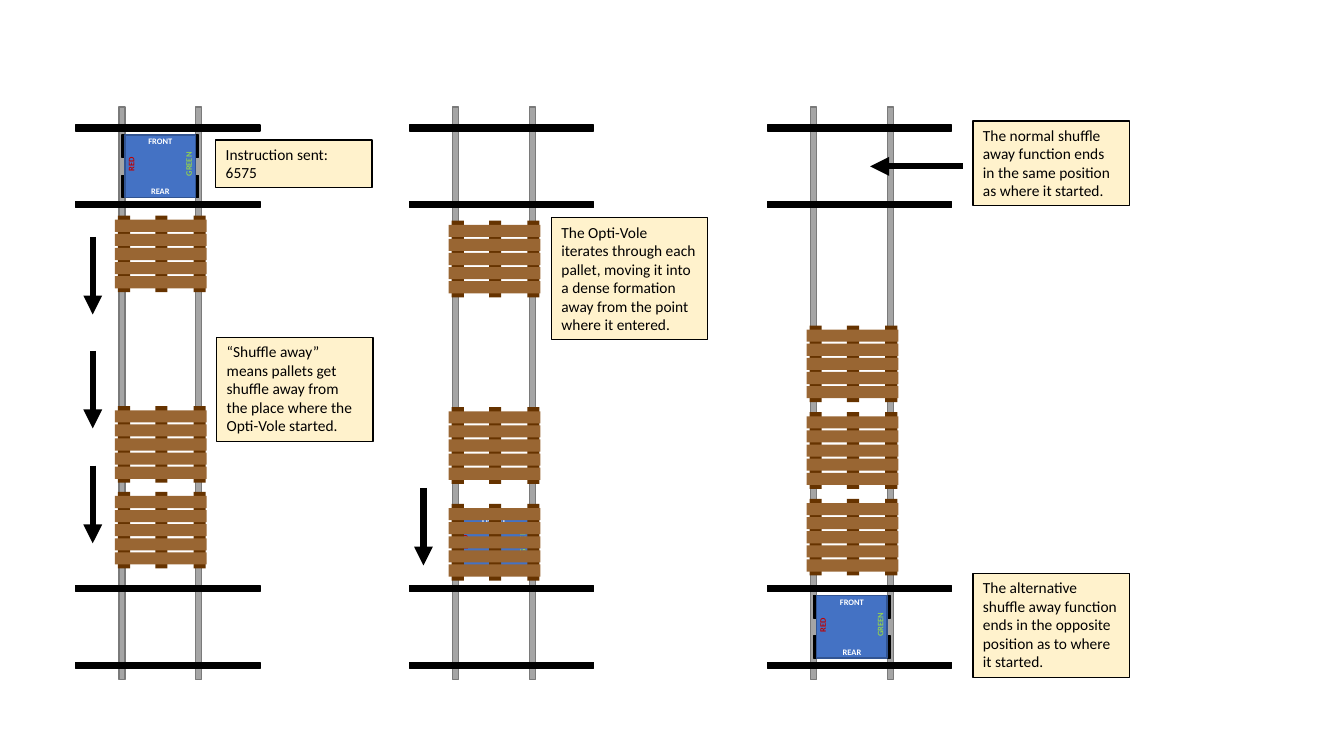
import pptx
import pptx.util
import pptx.dml.color
import pptx.enum.shapes
import pptx.enum.text
import pptx.oxml.ns
from lxml import etree

Inches = pptx.util.Inches
Pt = pptx.util.Pt


def tint(code):
    return pptx.dml.color.RGBColor.from_string(code)


class Board:
    font = "Calibri"
    black = "000000"
    white = "FFFFFF"
    cream = "FFF2CC"
    steel = "A5A5A5"
    edge = "7A7A7A"
    plank = "996633"
    beam = "663300"

    def __init__(self, slide):
        self.slide = slide

    def group(self):
        return self.slide.shapes.add_group_shape().shapes

    def rect(self, host, x, y, w, h, fill, line=None):
        shape = host.add_shape(
            pptx.enum.shapes.MSO_SHAPE.RECTANGLE,
            Inches(x), Inches(y), Inches(w), Inches(h))
        shape.shadow.inherit = False
        shape.fill.solid()
        shape.fill.fore_color.rgb = tint(fill)
        if line:
            shape.line.color.rgb = tint(line)
            shape.line.width = Pt(1)
        else:
            shape.line.fill.background()
        return shape

    def words(self, shape, lines, size, color, align, bold=False):
        frame = shape.text_frame
        frame.word_wrap = True
        frame.auto_size = pptx.enum.text.MSO_AUTO_SIZE.SHAPE_TO_FIT_TEXT
        frame.vertical_anchor = pptx.enum.text.MSO_ANCHOR.TOP
        for i, line in enumerate(lines):
            para = frame.add_paragraph() if i else frame.paragraphs[0]
            para.alignment = align
            run = para.add_run()
            run.text = line
            run.font.name = self.font
            run.font.size = Pt(size)
            run.font.bold = bold
            run.font.color.rgb = tint(color)

    def label(self, host, x, y, text, color, turn=0):
        box = host.add_textbox(Inches(x), Inches(y), Inches(0.44), Inches(0.2))
        box.rotation = turn
        box.text_frame.margin_left = box.text_frame.margin_right = 0
        self.words(box, [text], 6, color,
                   pptx.enum.text.PP_ALIGN.CENTER, bold=True)

    def note(self, x, y, h, *lines):
        box = self.rect(self.slide.shapes, x, y, 1.55, h, self.cream, self.black)
        self.words(box, lines, 11, self.black, pptx.enum.text.PP_ALIGN.LEFT)

    def arrow(self, x1, y1, x2, y2):
        link = self.slide.shapes.add_connector(
            pptx.enum.shapes.MSO_CONNECTOR.STRAIGHT,
            Inches(x1), Inches(y1), Inches(x2), Inches(y2))
        link.line.color.rgb = tint(self.black)
        link.line.width = Pt(4.5)
        qn = pptx.oxml.ns.qn
        props = link.element.spPr
        etree.SubElement(props.find(qn("a:ln")), qn("a:tailEnd"), type="triangle")
        etree.SubElement(props, qn("a:effectLst"))

    def track(self, x):
        rails = self.group()
        for dx in (0, 0.76):
            self.rect(rails, x + dx, 1.06, 0.06, 5.68, self.steel, self.edge)
        for top in (1.24, 5.81):
            pair = self.group()
            for dy in (0, 0.76):
                self.rect(pair, x - 0.43, top + dy, 1.83, 0.06,
                          self.black, self.black)

    def mole(self, x, y, full=True):
        parts = self.group()
        for dx in (-0.03, 0.68) if full else (0.68,):
            for dy in (0, 0.4):
                self.rect(parts, x + dx, y + dy, 0.05, 0.22,
                          self.black, self.black)
        self.rect(parts, x, y, 0.7, 0.62, "4472C4", "325491")
        self.label(parts, x + 0.13, y - 0.04, "FRONT", self.white)
        if full:
            self.label(parts, x + 0.13, y + 0.46, "REAR", self.white)
        self.label(parts, x + 0.41, y + 0.19, "GREEN", "92D050", 270)
        self.label(parts, x - 0.16, y + 0.19, "RED", "C00000", 270)

    def pallet(self, x, y):
        parts = self.group()
        for dx in (0.03, 0.4, 0.78):
            self.rect(parts, x + dx, y - 0.04, 0.12, 0.76, self.beam)
        for i in range(5):
            self.rect(parts, x, y + 0.14 * i, 0.91, 0.12, self.plank)


def main():
    deck = pptx.Presentation()
    deck.slide_width = Inches(13.33)
    deck.slide_height = Inches(7.5)
    board = Board(deck.slides.add_slide(deck.slide_layouts[6]))

    lanes = [
        (1.18, 1.34, True, (2.18, 4.07, 4.92)),
        (4.49, 5.09, False, (2.23, 4.08, 5.04)),
        (8.04, 5.91, True, (3.27, 4.13, 4.99)),
    ]
    for x, y, full, stack in lanes:
        board.track(x)
        board.mole(x + 0.06, y, full)
        for top in stack:
            board.pallet(x - 0.04, top)

    for x, y in ((0.92, 2.35), (0.92, 3.48), (0.92, 4.62), (4.2, 4.84)):
        board.arrow(x, y, x, y + 0.77)
    board.arrow(9.55, 1.65, 8.63, 1.65)

    board.note(2.14, 1.39, 0.47, "Instruction sent:", "6575")
    board.note(2.15, 3.35, 1.03,
               "“Shuffle away” means pallets get shuffle away from the "
               "place where the Opti-Vole started.")
    board.note(5.47, 2.16, 1.21,
               "The Opti-Vole iterates through each pallet, moving it into a "
               "dense formation away from the point where it entered.")
    board.note(9.65, 1.2, 0.84,
               "The normal shuffle away function ends in the same position "
               "as where it started.")
    board.note(9.65, 5.69, 1.03,
               "The alternative shuffle away function ends in the opposite "
               "position as to where it started.")
    deck.save("out.pptx")


if __name__ == "__main__":
    main()
